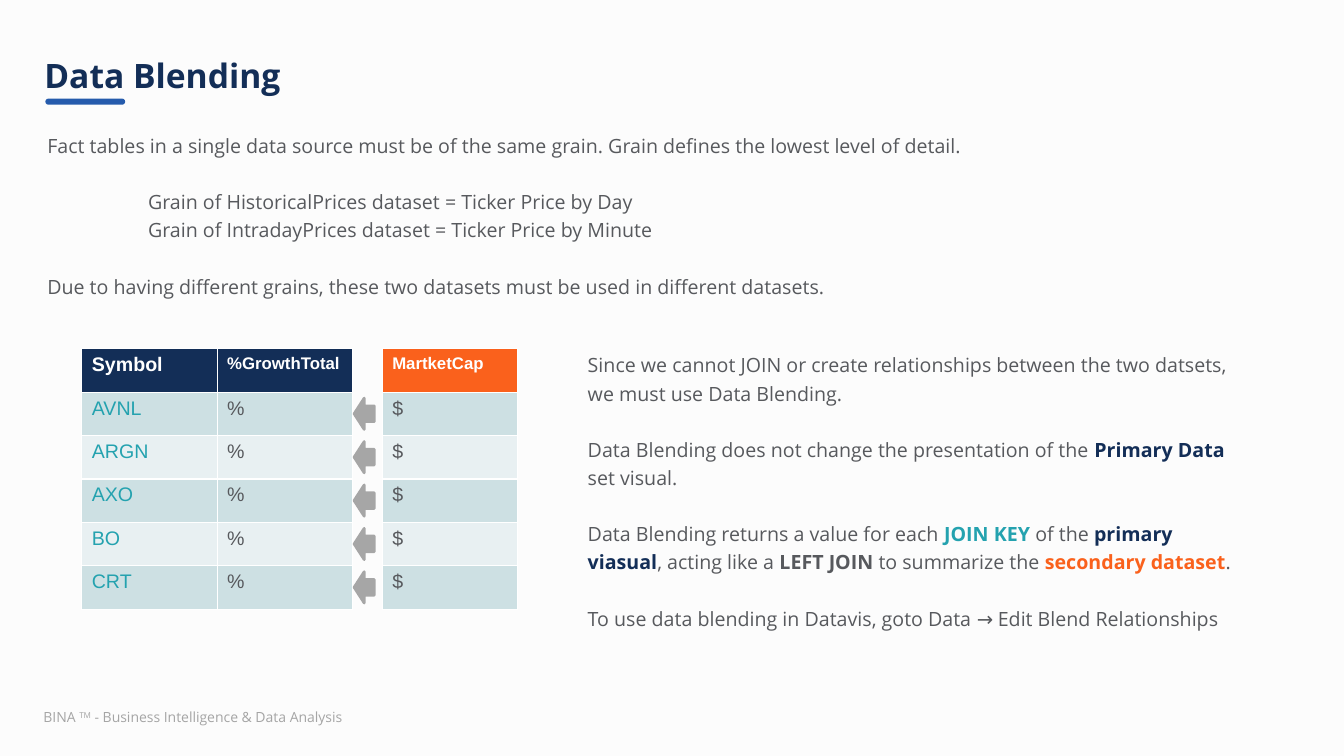
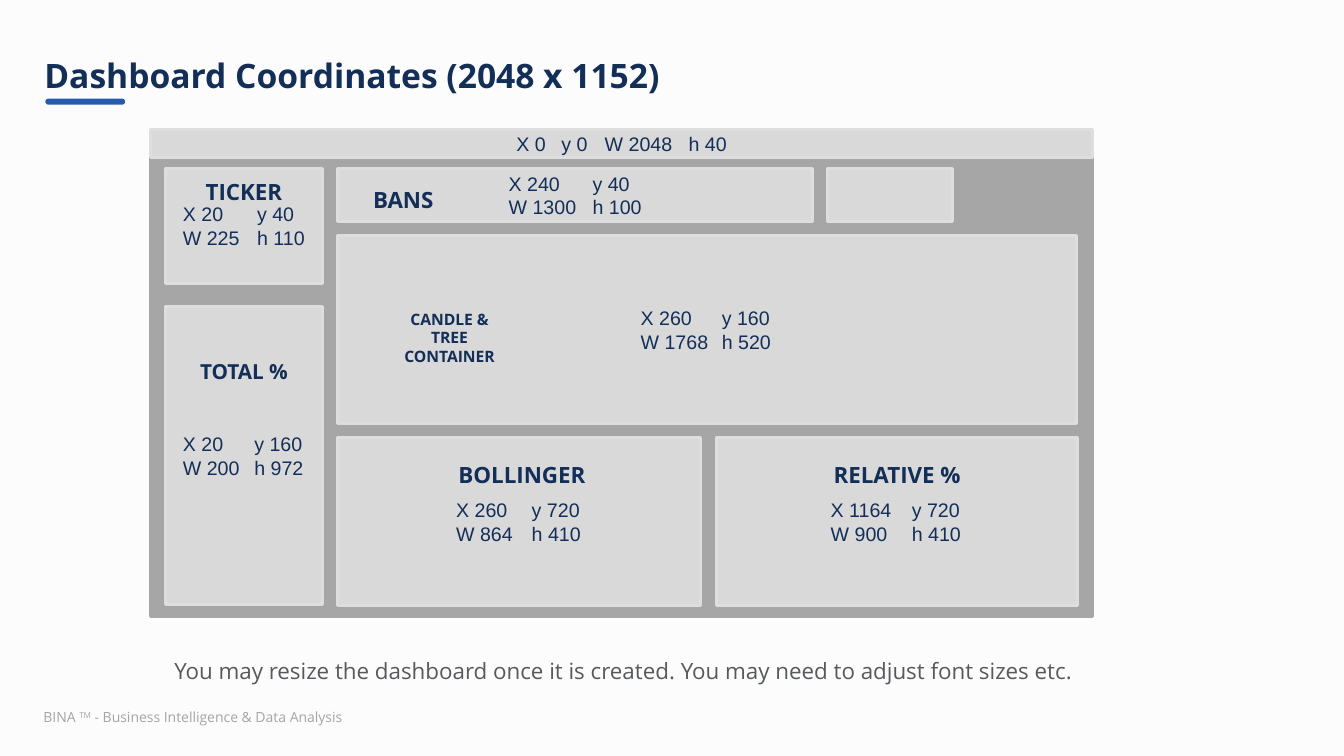
"""Build two slides on data blending and dashboard coordinates."""
from lxml.etree import SubElement
from pptx import Presentation
from pptx.dml.color import RGBColor
from pptx.enum.shapes import MSO_SHAPE as Shape
from pptx.enum.text import MSO_ANCHOR as Anchor, PP_ALIGN as Align
from pptx.oxml.ns import qn
from pptx.util import Pt

COLORS = {
    "background": "FCFCFC",
    "navy": "132E57",
    "blue": "255BAC",
    "teal": "24A2AF",
    "orange": "FA611C",
    "text": "57595D",
    "footer": "A5A5A5",
    "gray": "A6A6A6",
    "panel": "D9D9D9",
    "panel_line": "DDDEDF",
    "band_dark": "CDE0E3",
    "band_light": "E8F0F2",
    "white": "FFFFFF",
}
COLORS = {name: RGBColor.from_string(value) for name, value in COLORS.items()}


def format_run(run, size, color, bold=False, font="Open Sans"):
    """Set the font of one run."""
    run.font.name = font
    run.font.size = Pt(size)
    run.font.bold = bold
    run.font.color.rgb = COLORS[color]


def add_text(slide, box, size, paragraphs, align=Align.LEFT, spacing=1.2):
    """Add a text box; a paragraph is (space before, indent, runs)."""
    frame = slide.shapes.add_textbox(*map(Pt, box)).text_frame
    frame.word_wrap = True
    frame.margin_left = frame.margin_top = frame.margin_right = frame.margin_bottom = 0
    for index, (before, indent, runs) in enumerate(paragraphs):
        paragraph = frame.add_paragraph() if index else frame.paragraphs[0]
        paragraph.alignment = align
        paragraph.line_spacing = spacing
        paragraph.space_before = Pt(before)
        if indent:
            paragraph._p.get_or_add_pPr().set("marL", str(Pt(indent)))
        for text, color, bold in runs:
            run = paragraph.add_run()
            run.text = text
            format_run(run, size, color, bold)
    return frame


presentation = Presentation()
presentation.slide_width, presentation.slide_height = Pt(960), Pt(540)
background = presentation.slide_master.background.fill
background.solid()
background.fore_color.rgb = COLORS["background"]

layout = presentation.slide_layouts[5]
layout_title = layout.placeholders[0]
layout_title.left, layout_title.top = Pt(24.5), Pt(27.4)
layout_title.width, layout_title.height = Pt(830), Pt(55.4)

slides = []
for title in ("Data Blending", "Dashboard Coordinates (2048 x 1152)"):
    slide = presentation.slides.add_slide(layout)
    frame = slide.shapes.title.text_frame
    frame.text = title
    frame.vertical_anchor = Anchor.MIDDLE
    frame.paragraphs[0].alignment = Align.LEFT
    frame.paragraphs[0].line_spacing = 0.9
    format_run(frame.paragraphs[0].runs[0], 24, "navy", True)
    slides.append(slide)
blending, dashboard = slides

title_rule = blending.shapes.add_shape(
    Shape.ROUNDED_RECTANGLE, Pt(32.4), Pt(70.4), Pt(57), Pt(4.4))
title_rule.adjustments[0] = 0.5
title_rule.shadow.inherit = False
title_rule.fill.solid()
title_rule.fill.fore_color.rgb = COLORS["blue"]
title_rule.line.fill.background()

footer_runs = [(text, "footer", False) for text in (
    "BINA ", "TM", " - Business Intelligence & Data Analysis")]
footer_frame = add_text(blending, (31, 506.2, 231, 16), 10, [(0, 0, footer_runs)], spacing=1)
footer_frame.paragraphs[0].runs[1].font._element.set("baseline", "30000")

for number, element in enumerate((title_rule._element, footer_frame._txBody.getparent()), 20):
    element.nvSpPr.cNvPr.set("id", str(number))
    layout.shapes._spTree.append(element)

add_text(blending, (33.8, 92.2, 881, 137.5), 14, [
    (before, indent, [(text, "text", False)]) for before, indent, text in (
        (0, 0, "Fact tables in a single data source must be of the same grain. "
               "Grain defines the lowest level of detail."),
        (20, 72, "Grain of HistoricalPrices dataset = Ticker Price by Day"),
        (0, 72, "Grain of IntradayPrices dataset = Ticker Price by Minute"),
        (20, 0, "Due to having different grains, these two datasets must be used "
                "in different datasets."),
    )])

add_text(blending, (419.8, 249, 469.5, 239), 14, [
    (0, 0, [("Since we cannot JOIN or create relationships between the two datsets, "
             "we must use Data Blending.", "text", False)]),
    (20, 0, [("Data Blending does not change the presentation of the ", "text", False),
             ("Primary Data ", "navy", True),
             ("set visual.", "text", False)]),
    (20, 0, [("Data Blending returns a value for each ", "text", False),
             ("JOIN KEY ", "teal", True),
             ("of the ", "text", False),
             ("primary viasual", "navy", True),
             (", acting like a ", "text", False),
             ("LEFT JOIN", "text", True),
             (" to summarize the ", "text", False),
             ("secondary dataset", "orange", True),
             (".", "text", False)]),
    (20, 0, [("To use data blending in Datavis, goto Data → Edit Blend Relationships",
              "text", False)]),
])

table_top, row_height, column_width = 249.2, 31, 96.7
symbols = ["AVNL", "ARGN", "AXO", "BO", "CRT"]
primary_rows = [["Symbol", "%GrowthTotal"]] + [[symbol, "%"] for symbol in symbols]
secondary_rows = [["MartketCap"]] + [["$"] for symbol in symbols]
for left, header_color, rows in (
        (58.4, "navy", primary_rows), (273, "orange", secondary_rows)):
    table = blending.shapes.add_table(
        len(rows), len(rows[0]), Pt(left), Pt(table_top),
        Pt(column_width * len(rows[0])), Pt(row_height * len(rows))).table
    for row_index, row in enumerate(rows):
        for column_index, text in enumerate(row):
            cell = table.cell(row_index, column_index)
            cell.text = text
            cell.fill.solid()
            if row_index == 0:
                fill, color = header_color, "white"
                size = 14 if text == "Symbol" else 12
            else:
                fill = "band_dark" if row_index % 2 else "band_light"
                color = "teal" if text in symbols else "text"
                size = 14
            cell.fill.fore_color.rgb = COLORS[fill]
            format_run(cell.text_frame.paragraphs[0].runs[0], size, color,
                       row_index == 0, "Arial")

for index in range(len(symbols)):
    arrow = blending.shapes.add_shape(
        Shape.LEFT_ARROW, Pt(253), Pt(284.4 + index * row_height), Pt(14.4), Pt(22.3))
    arrow.shadow.inherit = False
    arrow.fill.solid()
    arrow.fill.fore_color.rgb = COLORS["gray"]
    arrow.line.color.rgb = COLORS["gray"]
    arrow.line.width = Pt(2)

panels = [
    ((107.3, 93.6, 673.2, 347), "gray", "gray", 0, [], []),
    ((118, 219, 112.3, 213), "panel", "panel_line", 87, [51], ["X 20\ty 160", "W 200\th 972"]),
    ((241.2, 312.5, 259.2, 120.2), "panel", "panel_line", 90, [54],
     ["X 260\ty 720", "W 864\th 410"]),
    ((511.9, 312.5, 257.8, 120.2), "panel", "panel_line", 95, [58],
     ["X 1164\ty 720", "W 900\th 410"]),
    ((241.2, 168.5, 527.8, 133.9), "panel", "panel_line", 95, [58],
     ["X 260\ty 160", "W 1768\th 520"]),
    ((241.2, 120.2, 339.1, 38.2), "panel", "panel_line", 95, [60],
     ["X 240\ty 40", "W 1300\th 100"]),
    ((118, 120.2, 112.3, 82.1), "panel", "panel_line", 87, [53],
     ["X 20\ty 40", "W 225\th 110"]),
    ((591.1, 120.2, 89.3, 38.2), "panel", "panel_line", 0, [], []),
    ((107.3, 92.2, 673.2, 20.2), "panel", "panel_line", 150, [32, 63, 123],
     ["X 0\ty 0\tW 2048\th 40"]),
]
for box, fill, line, text_width, tabs, lines in panels:
    panel = dashboard.shapes.add_shape(Shape.RECTANGLE, *map(Pt, box))
    panel.shadow.inherit = False
    panel.fill.solid()
    panel.fill.fore_color.rgb = COLORS[fill]
    panel.line.color.rgb = COLORS[line]
    panel.line.width = Pt(2)
    frame = panel.text_frame
    frame.vertical_anchor = Anchor.MIDDLE
    frame.margin_left = Pt((box[2] - text_width) / 2)
    frame.margin_top = frame.margin_right = frame.margin_bottom = 0
    for index, text in enumerate(lines):
        paragraph = frame.add_paragraph() if index else frame.paragraphs[0]
        paragraph.text = text
        paragraph.alignment = Align.LEFT
        tab_list = SubElement(paragraph._p.get_or_add_pPr(), qn("a:tabLst"))
        for position in tabs:
            SubElement(tab_list, qn("a:tab"), pos=str(Pt(position)), algn="l")
        for run in paragraph.runs:
            format_run(run, 14, "navy", font="Arial")

labels = [
    ("BANS", (254.2, 129, 67.7, 29.5), 16, 1.2),
    ("CANDLE & TREE CONTAINER", (287.3, 221, 67.7, 41), 11.2, 1),
    ("TOTAL %", (140.4, 252.7, 67.7, 29.5), 14.8, 1.2),
    ("BOLLINGER", (321, 325.4, 103.7, 29.5), 16, 1.2),
    ("RELATIVE %", (589, 325.4, 103.7, 29.5), 16, 1.2),
    ("TICKER", (140.4, 123.1, 67.7, 29.5), 16, 1.2),
]
for text, box, size, spacing in labels:
    add_text(dashboard, box, size, [(0, 0, [(text, "navy", True)])], Align.CENTER, spacing)

add_text(dashboard, (36, 465.8, 818.6, 28), 16, [
    (0, 0, [("You may resize the dashboard once it is created. "
             "You may need to adjust font sizes etc.", "text", False)])], Align.CENTER)

presentation.save("out.pptx")
